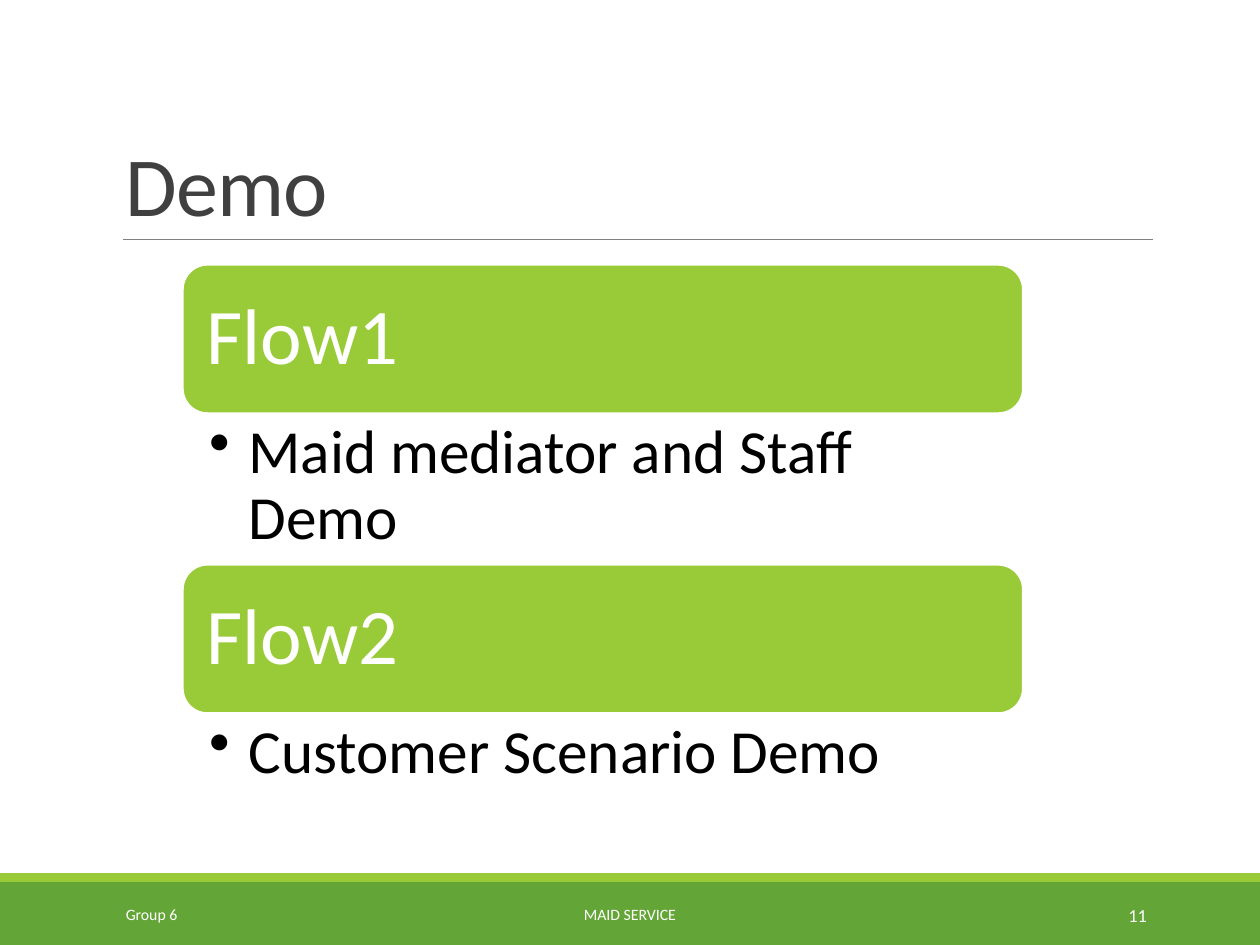
from dataclasses import dataclass

from lxml.etree import SubElement
from pptx import Presentation
from pptx.dml.color import RGBColor
from pptx.enum.shapes import MSO_CONNECTOR, MSO_SHAPE
from pptx.enum.text import MSO_ANCHOR, PP_ALIGN
from pptx.oxml.ns import qn
from pptx.util import Pt

COLORS = {
    "green": "63A537",
    "lime": "99CB38",
    "rule": "808080",
    "title": "404040",
    "white": "FFFFFF",
    "black": "000000",
}
FONT = "Calibri"
INSETS = (7.2, 3.6, 7.2, 3.6)


@dataclass
class Box:
    left: float
    top: float
    width: float
    height: float

    def lengths(self) -> list:
        return [Pt(v) for v in (self.left, self.top, self.width, self.height)]


@dataclass
class Flow:
    name: str
    detail: str
    top: float
    detail_height: float


@dataclass
class FooterItem:
    text: str
    box: Box
    align: PP_ALIGN
    size: float


FLOW_LEFT, FLOW_WIDTH, FLOW_HEIGHT = 104.4, 480.25, 85
FLOWS = [
    Flow("Flow1", "Maid mediator and Staff Demo", 151.2, 86.4),
    Flow("Flow2", "Customer Scenario Demo", 322.6, 58.3),
]
FOOTER_TOP, FOOTER_HEIGHT = 508.3, 28.8
FOOTER = [
    FooterItem("Group 6", Box(64.8, FOOTER_TOP, 146.2, FOOTER_HEIGHT), PP_ALIGN.LEFT, 9),
    FooterItem("MAID SERVICE", Box(217.4, FOOTER_TOP, 285.1, FOOTER_HEIGHT), PP_ALIGN.CENTER, 9),
    FooterItem("11", Box(584.6, FOOTER_TOP, 77.8, FOOTER_HEIGHT), PP_ALIGN.RIGHT, 10.5),
]


def rgb(name: str) -> RGBColor:
    return RGBColor.from_string(COLORS[name])


def write(sp, text: str, *, size: float, color: str, align=PP_ALIGN.LEFT,
          anchor=MSO_ANCHOR.MIDDLE, insets=INSETS, line_spacing=1.0,
          tracking: float = 0, bullet_indent: float = 0) -> None:
    """Fill a shape with one formatted paragraph; a bullet_indent adds a bullet."""
    tf = sp.text_frame
    tf.word_wrap = True
    tf.vertical_anchor = anchor
    tf.margin_left, tf.margin_top, tf.margin_right, tf.margin_bottom = map(Pt, insets)
    p = tf.paragraphs[0]
    p.alignment = align
    p.line_spacing = line_spacing
    if bullet_indent:
        pPr = p._p.get_or_add_pPr()
        pPr.set("marL", str(Pt(bullet_indent)))
        pPr.set("indent", str(-Pt(bullet_indent)))
        SubElement(pPr, qn("a:buChar")).set("char", "•")
    r = p.add_run()
    r.text = text
    r.font.name = FONT
    r.font.size = Pt(size)
    r.font.color.rgb = rgb(color)
    if tracking:
        r._r.get_or_add_rPr().set("spc", str(round(tracking * 100)))


def add_text(slide, box: Box, text: str, **fmt) -> None:
    write(slide.shapes.add_textbox(*box.lengths()), text, **fmt)


def add_block(slide, box: Box, fill: str, kind=MSO_SHAPE.RECTANGLE, line: str = ""):
    sp = slide.shapes.add_shape(kind, *box.lengths())
    sp.shadow.inherit = False
    sp.fill.solid()
    sp.fill.fore_color.rgb = rgb(fill)
    if line:
        sp.line.color.rgb = rgb(line)
        sp.line.width = Pt(1.25)
    else:
        sp.line.fill.background()
    return sp


def add_rule(slide, x1: float, x2: float, y: float) -> None:
    cxn = slide.shapes.add_connector(MSO_CONNECTOR.STRAIGHT, Pt(x1), Pt(y), Pt(x2), Pt(y))
    cxn.line.color.rgb = rgb("rule")
    cxn.line.width = Pt(0.5)
    SubElement(cxn._element.spPr, qn("a:effectLst"))


def add_flow(slide, flow: Flow) -> None:
    """Draw a flow's rounded heading with its bulleted detail directly below."""
    heading = add_block(slide, Box(FLOW_LEFT, flow.top, FLOW_WIDTH, FLOW_HEIGHT),
                        "lime", MSO_SHAPE.ROUNDED_RECTANGLE, "white")
    write(heading, flow.name, size=45, color="white", insets=(9.6,) * 4, line_spacing=0.9)
    detail = Box(FLOW_LEFT, flow.top + FLOW_HEIGHT, FLOW_WIDTH, flow.detail_height)
    add_text(slide, detail, flow.detail, size=35, color="black", anchor=MSO_ANCHOR.TOP,
             insets=(15.1, 4.3, 25.2, 4.3), line_spacing=0.9, bullet_indent=22.5)


def main() -> None:
    prs = Presentation()
    prs.slide_width, prs.slide_height = Pt(720), Pt(540)
    slide = prs.slides.add_slide(prs.slide_layouts[6])

    add_block(slide, Box(0, 504, 720, 36), "green")
    add_block(slide, Box(0, 499, 720, 5), "lime")
    add_rule(slide, 70.5, 658.8, 136.8)
    add_text(slide, Box(64.8, 22.3, 594, 114.5), "Demo", size=48, color="title",
             anchor=MSO_ANCHOR.BOTTOM, line_spacing=0.85, tracking=-0.5)
    for item in FOOTER:
        add_text(slide, item.box, item.text, size=item.size, color="white", align=item.align)
    for flow in FLOWS:
        add_flow(slide, flow)

    prs.save("out.pptx")


if __name__ == "__main__":
    main()
